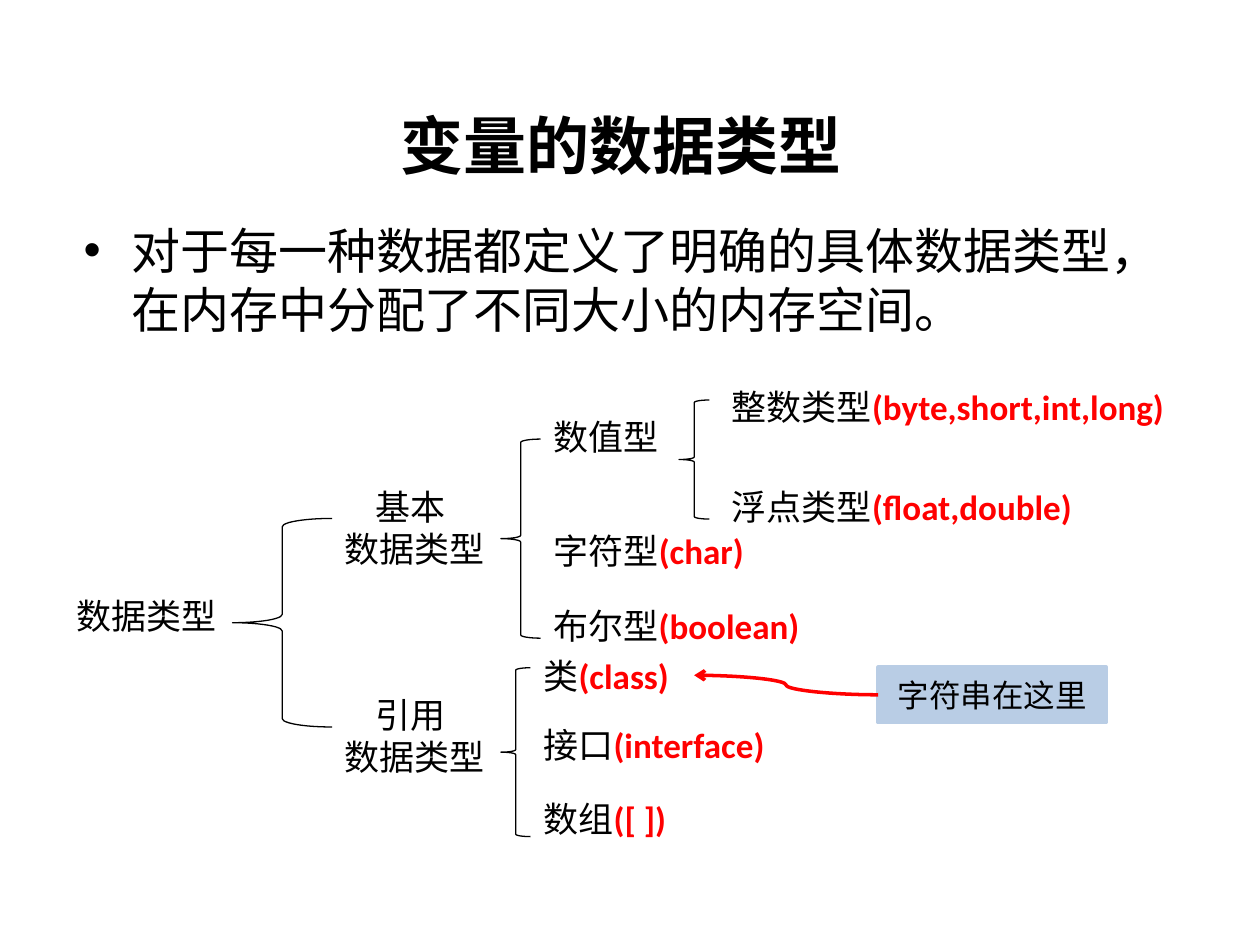
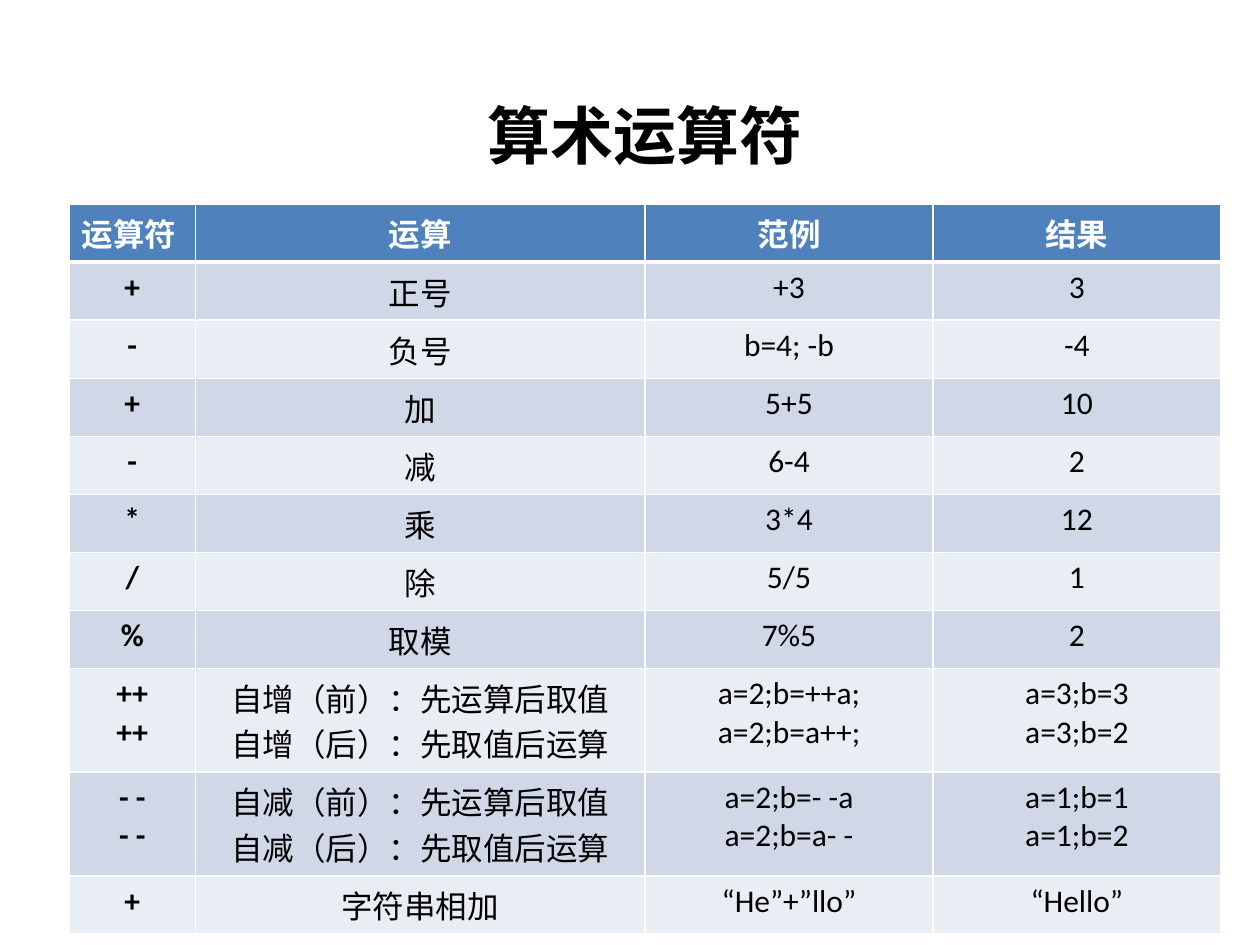
from dataclasses import dataclass

from lxml import etree
from pptx import Presentation, util as u
from pptx.dml.color import RGBColor
from pptx.enum import shapes, text
from pptx.oxml import ns


@dataclass(frozen=True)
class Theme:
    ink: str = "000000"
    paper: str = "FFFFFF"
    accent: str = "FF0000"
    note: str = "B9CDE5"
    header: str = "4F81BD"
    bands: tuple = ("D0D8E8", "E9EDF4")
    font: str = "Calibri"
    heading_font: str = "Noto Sans CJK SC"
    header_font: str = "Times New Roman"
    title_size: int = 36
    body_size: int = 28
    tree_size: int = 20
    small_size: int = 18


THEME = Theme()
COLUMNS, ROWS = 100, 75          # grid laid over the slide
CELL = u.Inches(0.1)
LINE_HEIGHT, TWO_LINES = 4.4, 7.7   # heights of tree labels, in grid rows
TABLE_ROW, TALL_TABLE_ROW = 4.61, 8.23

# Tree parts: column, row, width, then the wording
LEAVES = [
    (42.95, 32.5, 14.2, "数值型", ""),
    (42.95, 41.5, 18.9, "字符型", "(char)"),
    (42.95, 47.5, 24.4, "布尔型", "(boolean)"),
    (57.1, 30.1, 38.6, "整数类型", "(byte,short,int,long)"),
    (57.1, 38.05, 37, "浮点类型", "(float,double)"),
    (42.15, 51.45, 18.9, "类", "(class)"),
    (42.15, 56.9, 27.6, "接口", "(interface)"),
    (42.15, 62.8, 18.9, "数组", "([ ])"),
]
BRANCHES = [(38.05, "基本"), (54.55, "引用")]
BRACES = [
    (18.45, 41.15, 7.9, 16.55),
    (39.75, 34.85, 3.15, 15.8),
    (39.75, 53, 2.35, 13.4),
    (53.9, 31.75, 2.4, 9.45),
]

OPERATORS = [
    ("运算符", "运算", "范例", "结果"),
    ("+", "正号", "+3", "3"),
    ("-", "负号", "b=4; -b", "-4"),
    ("+", "加", "5+5", "10"),
    ("-", "减", "6-4", "2"),
    ("*", "乘", "3*4", "12"),
    ("/", "除", "5/5", "1"),
    ("%", "取模", "7%5", "2"),
    ("++\n++", "自增（前）：先运算后取值\n自增（后）：先取值后运算",
     "a=2;b=++a;\na=2;b=a++;", "a=3;b=3\na=3;b=2"),
    ("- -\n- -", "自减（前）：先运算后取值\n自减（后）：先取值后运算",
     "a=2;b=- -a\na=2;b=a- -", "a=1;b=1\na=1;b=2"),
    ("+", "字符串相加", "“He”+”llo”", "“Hello”"),
]
OPERATOR_COLUMNS = (10, 35.7, 22.85, 22.85)


def grid(*units):
    return [round(unit * CELL) for unit in units]


def rgb(colour):
    return RGBColor.from_string(colour)


def style(paragraph, size, colour=THEME.ink, bold=False, font=THEME.font, centred=False):
    paragraph.font.name = font
    paragraph.font.size = u.Pt(size)
    paragraph.font.bold = bold
    paragraph.font.color.rgb = rgb(colour)
    if centred:
        paragraph.alignment = text.PP_ALIGN.CENTER


def indent(paragraph, left, first=0):
    properties = paragraph._p.get_or_add_pPr()
    properties.set("marL", str(u.Inches(left)))
    properties.set("indent", str(u.Inches(first)))
    return properties


def add_child(parent, tag, **attributes):
    return etree.SubElement(parent, ns.qn(tag), attributes)


def text_frame(slide, *box):
    frame = slide.shapes.add_textbox(*grid(*box)).text_frame
    frame.word_wrap = True
    return frame


def add_title(slide, wording, *box, font=THEME.font):
    frame = text_frame(slide, *box)
    frame.vertical_anchor = text.MSO_ANCHOR.MIDDLE
    frame.text = wording
    style(frame.paragraphs[0], THEME.title_size, bold=True, font=font, centred=True)


def add_bullet(slide, wording, *box):
    frame = text_frame(slide, *box)
    frame.text = wording
    point = frame.paragraphs[0]
    point.space_before = u.Pt(THEME.body_size * 0.2)
    properties = indent(point, 0.38, -0.38)
    add_child(properties, "a:buFont", typeface="Arial")
    add_child(properties, "a:buChar", char="•")
    style(point, THEME.body_size)


def add_label(slide, column, row, width, wording, keyword=""):
    lines = wording.count("\n")
    frame = text_frame(slide, column, row, width, TWO_LINES if lines else LINE_HEIGHT)
    frame.auto_size = text.MSO_AUTO_SIZE.SHAPE_TO_FIT_TEXT
    frame.text = wording
    for paragraph in frame.paragraphs:
        style(paragraph, THEME.tree_size)
    if keyword:
        run = frame.paragraphs[0].add_run()
        run.text = keyword
        run.font.bold = True
        run.font.color.rgb = rgb(THEME.accent)
    return frame


def add_brace(slide, *box):
    brace = slide.shapes.add_shape(shapes.MSO_SHAPE.LEFT_BRACE, *grid(*box))
    brace.shadow.inherit = False
    brace.fill.background()
    brace.line.color.rgb = rgb(THEME.ink)
    brace.line.width = u.Pt(0.75)


def add_note(slide, wording, *box):
    note = slide.shapes.add_shape(shapes.MSO_SHAPE.RECTANGLE, *grid(*box))
    note.shadow.inherit = False
    note.fill.solid()
    note.fill.fore_color.rgb = rgb(THEME.note)
    note.line.color.rgb = rgb(THEME.note)
    note.line.width = u.Pt(2)
    note.text_frame.text = wording
    style(note.text_frame.paragraphs[0], THEME.small_size, centred=True)


def add_curved_arrow(slide, *ends):
    arrow = slide.shapes.add_connector(shapes.MSO_CONNECTOR.CURVE, *grid(*ends))
    arrow.line.color.rgb = rgb(THEME.accent)
    arrow.line.width = u.Pt(2)
    add_child(arrow.line._get_or_add_ln(), "a:tailEnd", type="arrow")
    add_child(arrow._element.spPr, "a:effectLst")


def border_cell(cell, top, bottom):
    properties = cell._tc.get_or_add_tcPr()
    for place, (side, width) in enumerate(zip("LRTB", (1, 1, top, bottom))):
        edge = etree.Element(ns.qn(f"a:ln{side}"), w=str(u.Pt(width)))
        fill = add_child(edge, "a:solidFill")
        add_child(fill, "a:srgbClr", val=THEME.paper)
        properties.insert(place, edge)


def add_operator_table(slide, left, top):
    width = sum(OPERATOR_COLUMNS)
    heights = [TALL_TABLE_ROW if "\n" in row[0] else TABLE_ROW for row in OPERATORS]
    table = slide.shapes.add_table(len(OPERATORS), len(OPERATOR_COLUMNS),
                                   *grid(left, top, width, sum(heights))).table
    for column, share in zip(table.columns, grid(*OPERATOR_COLUMNS)):
        column.width = share
    for r, (row, height) in enumerate(zip(OPERATORS, grid(*heights))):
        table.rows[r].height = height
        is_header = r == 0
        for c, wording in enumerate(row):
            cell = table.cell(r, c)
            cell.text = wording
            cell.fill.solid()
            cell.fill.fore_color.rgb = rgb(THEME.header if is_header else THEME.bands[(r - 1) % 2])
            border_cell(cell, top=3 if r == 1 else 1, bottom=3 if is_header else 1)
            for paragraph in cell.text_frame.paragraphs:
                style(paragraph, THEME.small_size,
                      colour=THEME.paper if is_header else THEME.ink,
                      bold=is_header or c == 0,
                      font=THEME.header_font if is_header else THEME.font,
                      centred=not (is_header and c == 0))


def build_type_slide(slide):
    add_title(slide, "变量的数据类型", 14.9, 6.75, 68.8, 9.4)
    add_bullet(slide, "对于每一种数据都定义了明确的具体数据类型，在内存中分配了不同大小的内存空间。",
               5.65, 17, 90, 11.4)

    # Tree of data types
    for brace in BRACES:
        add_brace(slide, *brace)
    add_label(slide, 5.1, 46.7, 15.7, "数据类型")
    for row, kind in BRANCHES:
        branch = add_label(slide, 26.35, row, 22.1, f"{kind}\n数据类型")
        indent(branch.paragraphs[0], 0.25)
    for leaf in LEAVES:
        add_label(slide, *leaf)

    # Remark on strings
    add_note(slide, "字符串在这里", 69.7, 52.95, 18.1, 4.4)
    add_curved_arrow(slide, 69.7, 55.15, 55.1, 53.6)


def build_operator_slide(slide):
    add_title(slide, "算术运算符", 30.35, 6, 41.7, 9.4, font=THEME.heading_font)
    add_operator_table(slide, 5.5, 16.2)


def main():
    deck = Presentation()
    deck.slide_width, deck.slide_height = grid(COLUMNS, ROWS)
    blank = deck.slide_layouts[6]
    for build in (build_type_slide, build_operator_slide):
        build(deck.slides.add_slide(blank))
    deck.save("out.pptx")


if __name__ == "__main__":
    main()
